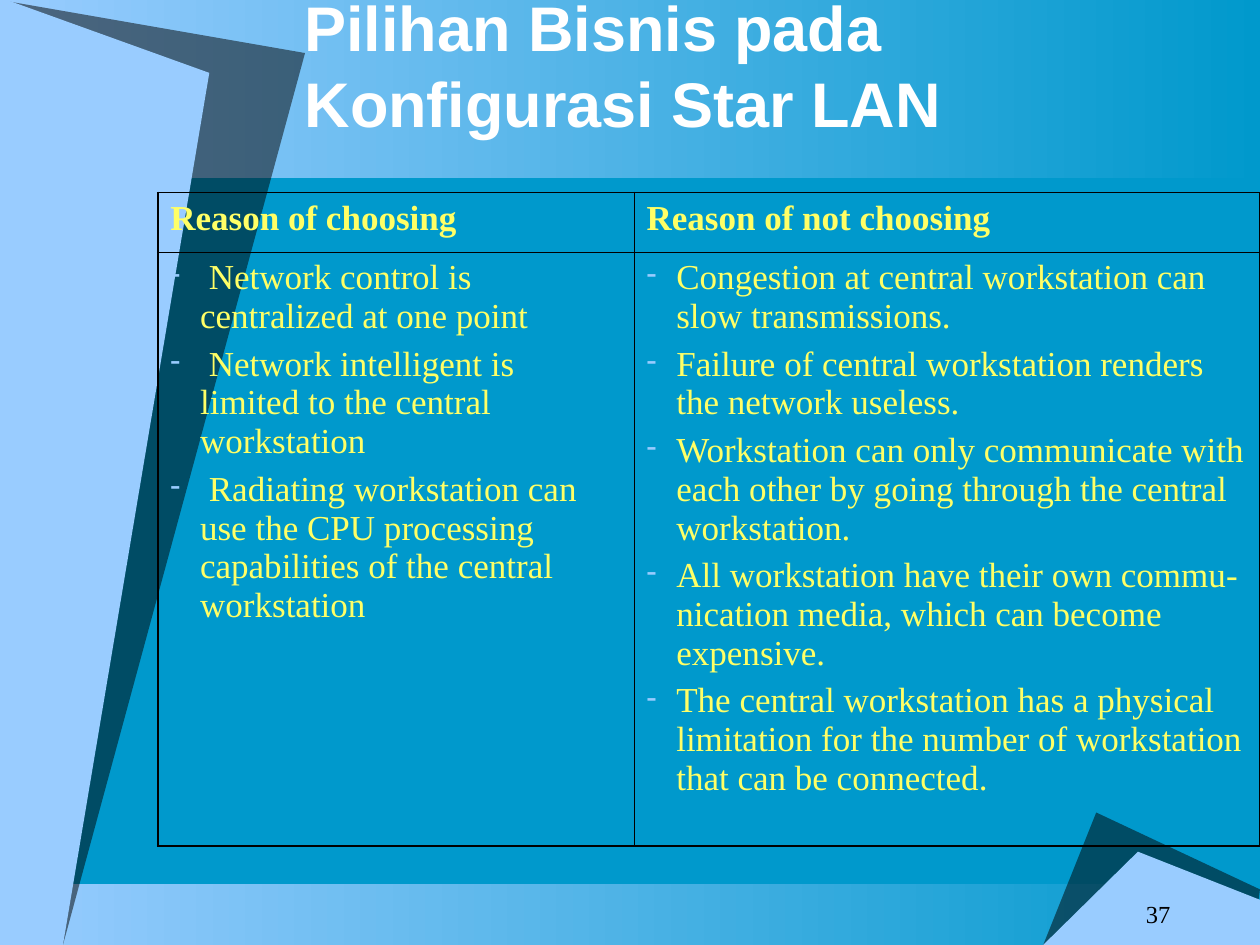
from pptx import Presentation
from pptx.dml.color import RGBColor
from pptx.enum.shapes import MSO_SHAPE
from pptx.enum.text import MSO_ANCHOR, PP_ALIGN
from pptx.oxml import parse_xml
from pptx.oxml.ns import nsdecls, qn
from pptx.util import Cm, Pt
from lxml import etree

RECTANGLE = MSO_SHAPE.RECTANGLE
MIDDLE, BOTTOM = MSO_ANCHOR.MIDDLE, MSO_ANCHOR.BOTTOM
LEFT, CENTER = PP_ALIGN.LEFT, PP_ALIGN.CENTER

WIDTH, HEIGHT = 25.4, 19.05
BLUE, SKY, YELLOW = "0099CC", "99CCFF", "FFFF66"
BLACK, WHITE = "000000", "FFFFFF"
SERIF, SANS = "Times New Roman", "Arial"
OUTER, INNER = 1.08, 0.45

HEADERS = ["Reason of choosing", "Reason of not choosing"]
REASONS = [
    [
        " Network control is centralized at one point",
        " Network intelligent is limited to the central workstation",
        " Radiating workstation can use the CPU processing capabilities "
        "of the central workstation",
    ],
    [
        "Congestion at central workstation can slow transmissions.",
        "Failure of central workstation renders the network useless.",
        "Workstation can only communicate with each other by going "
        "through the central workstation.",
        "All workstation have their own commu-nication media, which can "
        "become expensive.",
        "The central workstation has a physical limitation for the number "
        "of workstation that can be connected.",
    ],
]


def rgb(value):
    return RGBColor.from_string(value)


def style(p, font, size, color, bold=False):
    for r in p.runs:
        r.font.name = font
        r.font.size = Pt(size)
        r.font.bold = bold
        r.font.color.rgb = rgb(color)


def add_band(s, top, height):
    sp = s.shapes.add_shape(RECTANGLE, 0, Cm(top), Cm(WIDTH), Cm(height))
    sp.shadow.inherit = False
    sp.line.fill.background()
    sp.fill.gradient()
    sp.fill.gradient_angle = 0
    for stop, position, color in zip(sp.fill.gradient_stops, (0, 1), (SKY, BLUE)):
        stop.position = position
        stop.color.rgb = rgb(color)


def add_polygon(s, points, color, alpha=None):
    start, *rest = [(Cm(x), Cm(y)) for x, y in points]
    builder = s.shapes.build_freeform(*start)
    builder.add_line_segments(rest, close=True)
    sp = builder.convert_to_shape()
    sp.shadow.inherit = False
    sp.line.fill.background()
    sp.fill.solid()
    sp.fill.fore_color.rgb = rgb(color)
    if alpha:
        clr = sp.fill._xPr.find(qn("a:solidFill"))[0]
        etree.SubElement(clr, qn("a:alpha")).set("val", str(alpha * 1000))


def add_text(s, box, text, font, size, color, bold=False,
             anchor=MIDDLE, align=LEFT, wrap=True):
    tf = s.shapes.add_textbox(*map(Cm, box)).text_frame
    tf.word_wrap = wrap
    tf.vertical_anchor = anchor
    tf.text = text
    p = tf.paragraphs[0]
    p.alignment = align
    style(p, font, size, color, bold)


def add_bullet(p):
    pPr = p._p.get_or_add_pPr()
    pPr.set("marL", str(Cm(0.6)))
    pPr.set("indent", str(-Cm(0.6)))
    for xml in (
        f'<a:buClr {nsdecls("a")}><a:srgbClr val="{SKY}"/></a:buClr>',
        f'<a:buSzPct {nsdecls("a")} val="85000"/>',
        f'<a:buChar {nsdecls("a")} char="-"/>',
    ):
        pPr.append(parse_xml(xml))


def set_borders(cell, widths):
    tcPr = cell._tc.get_or_add_tcPr()
    for side, width in zip("LRTB", widths):
        tcPr.append(parse_xml(
            f'<a:ln{side} {nsdecls("a")} w="{Pt(width)}"><a:solidFill>'
            f'<a:srgbClr val="{BLACK}"/></a:solidFill></a:ln{side}>'))


def fill_cell(cell, lines, bulleted):
    tf = cell.text_frame
    tf.text = "\n".join(lines)
    for i, p in enumerate(tf.paragraphs):
        if i:
            p.space_before = Pt(5)
        if bulleted:
            add_bullet(p)
        style(p, SERIF, 20, YELLOW, bold=not bulleted)


def add_reasons_table(s):
    rows = [[[header] for header in HEADERS], REASONS]
    frame = s.shapes.add_table(2, 2, Cm(3.18), Cm(3.88), Cm(22.22), Cm(13.13))
    table = frame.table
    table.first_row = table.horz_banding = False
    for column, width in zip(table.columns, (9.6, 12.62)):
        column.width = Cm(width)
    for row, height in zip(table.rows, (1.2, 11.93)):
        row.height = Cm(height)
    for i, row in enumerate(rows):
        for j, lines in enumerate(row):
            cell = table.cell(i, j)
            fill_cell(cell, lines, bulleted=i > 0)
            first, last = (OUTER, INNER), (INNER, OUTER)
            set_borders(cell, (first, last)[j] + (first, last)[i])
            cell.fill.background()


def main():
    prs = Presentation()
    prs.slide_width, prs.slide_height = Cm(WIDTH), Cm(HEIGHT)
    s = prs.slides.add_slide(prs.slide_layouts[6])
    s.background.fill.solid()
    s.background.fill.fore_color.rgb = rgb(BLUE)

    add_band(s, 17.83, 1.22)
    add_polygon(s, [(22.1, 16.38), (WIDTH, 17.93), (25.25, HEIGHT),
                    (21.03, HEIGHT)], BLACK, alpha=50)
    add_polygon(s, [(21.03, HEIGHT), (22.94, 17.17), (WIDTH, 18.14),
                    (WIDTH, HEIGHT)], SKY)
    add_band(s, 0, 3.6)
    add_polygon(s, [(0, 0), (6.15, 1.07), (1.27, HEIGHT), (0, HEIGHT)],
                BLACK, alpha=50)
    add_polygon(s, [(0, -0.05), (4.22, 1.47), (1.27, HEIGHT), (0, HEIGHT)], SKY)

    add_text(s, (22, 17.83, 2.69, 1.17), "37", SERIF, 14, BLACK,
             align=CENTER, wrap=False)
    add_text(s, (5.89, 0, 19.08, 2.95), "Pilihan Bisnis pada Konfigurasi Star LAN",
             SANS, 36, WHITE, bold=True, anchor=BOTTOM)
    add_reasons_table(s)
    prs.save("out.pptx")


if __name__ == "__main__":
    main()
